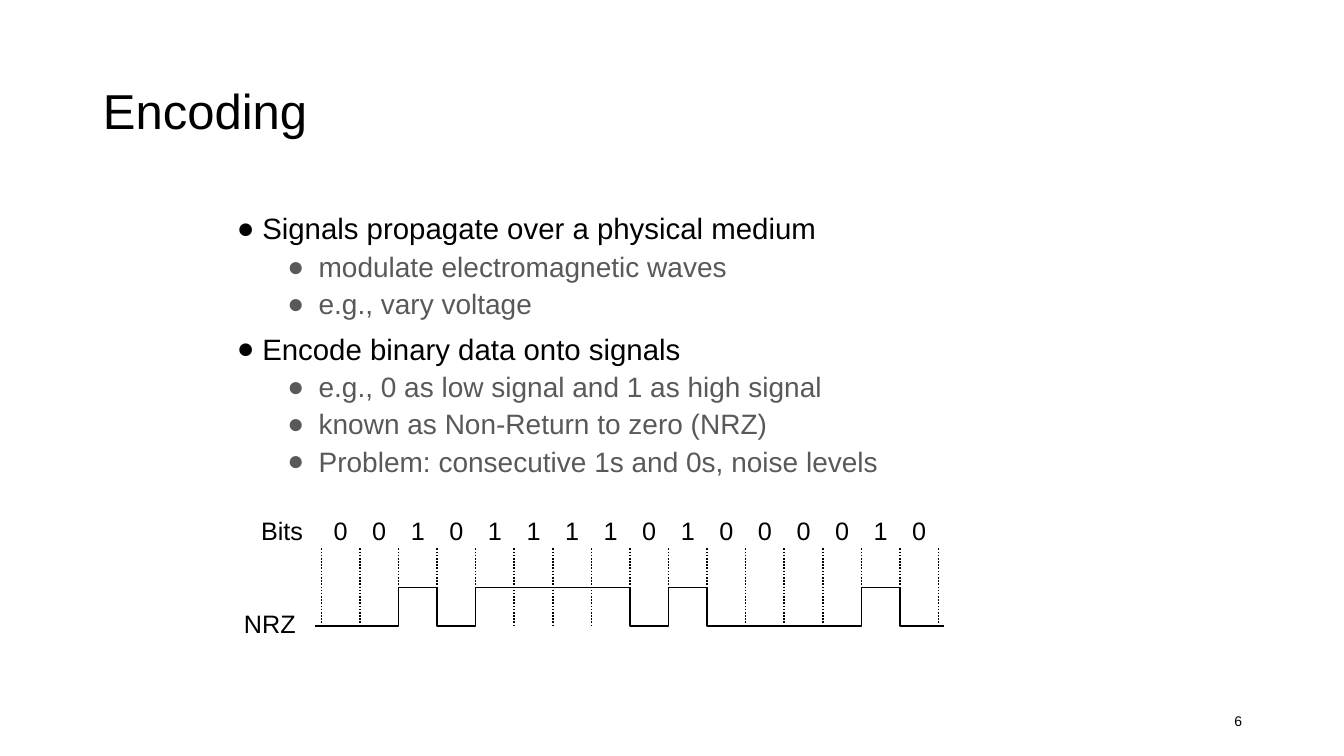
"""Build the slide on signal encoding with an NRZ waveform."""
from lxml.etree import SubElement
from pptx import Presentation
from pptx.dml.color import RGBColor
from pptx.enum.dml import MSO_LINE
from pptx.enum.shapes import MSO_CONNECTOR
from pptx.enum.text import MSO_ANCHOR, PP_ALIGN
from pptx.oxml.ns import qn
from pptx.util import Cm, Pt

BLACK, GREY = "000000", "595959"
BITS = "0010111101000010"
CELL = Cm(0.972)
GRID_LEFT, GRID_TOP = Cm(8.1), Cm(13.82)
HIGH, LOW = Cm(14.8), Cm(15.77)
OVERHANG = Cm(0.15)
POINTS = [
    (0, "Signals propagate over a physical medium"),
    (1, "modulate electromagnetic waves"),
    (1, "e.g., vary voltage"),
    (0, "Encode binary data onto signals"),
    (1, "e.g., 0 as low signal and 1 as high signal"),
    (1, "known as Non-Return to zero (NRZ)"),
    (1, "Problem: consecutive 1s and 0s, noise levels"),
]
LEVELS = [
    {"size": 21, "color": BLACK, "margin": 0.64, "hang": 0.64, "before": 10},
    {"size": 20, "color": GREY, "margin": 2.06, "hang": 0.79, "before": 5},
]


def rgb(color):
    return RGBColor.from_string(color)


def style(paragraph, size, color=BLACK, align=PP_ALIGN.LEFT):
    paragraph.alignment = align
    paragraph.font.name = "Arial"
    paragraph.font.size = Pt(size)
    paragraph.font.color.rgb = rgb(color)


def set_line(line):
    line.color.rgb = rgb(BLACK)
    line.width = Pt(1.13)


def add_title(slide, text):
    title = slide.shapes.title
    title.left, title.top, title.width, title.height = Cm(2.34), Cm(1.02), Cm(29.21), Cm(3.68)
    title.text_frame.text = text
    title.text_frame.vertical_anchor = MSO_ANCHOR.MIDDLE
    heading = title.text_frame.paragraphs[0]
    heading.line_spacing = 0.9
    style(heading, 35)


def add_points(slide, points):
    frame = slide.shapes.add_textbox(Cm(5.72), Cm(5.28), Cm(21.59), Cm(11.43)).text_frame
    frame.word_wrap = True
    for index, (depth, text) in enumerate(points):
        point = frame.add_paragraph() if index else frame.paragraphs[0]
        level = LEVELS[depth]
        point.text = text
        point.level = depth
        point.line_spacing = 0.9
        if index:
            point.space_before = Pt(level["before"])
        properties = point._p.get_or_add_pPr()
        properties.set("marL", str(Cm(level["margin"])))
        properties.set("indent", str(-Cm(level["hang"])))
        SubElement(properties, qn("a:buFont"), typeface="Arial")
        SubElement(properties, qn("a:buChar"), char="●")
        style(point, level["size"], level["color"])


def add_label(slide, text, left, top, width, height=Cm(0.76), size=18, align=PP_ALIGN.LEFT, inset=0):
    frame = slide.shapes.add_textbox(left, top, width, height).text_frame
    frame.margin_left = frame.margin_right = inset
    frame.margin_top = frame.margin_bottom = 0
    frame.vertical_anchor = MSO_ANCHOR.MIDDLE
    frame.word_wrap = True
    frame.text = text
    style(frame.paragraphs[0], size, align=align)


def add_bit_boundary(slide, x):
    boundary = slide.shapes.add_connector(MSO_CONNECTOR.STRAIGHT, x, GRID_TOP, x, LOW)
    set_line(boundary.line)
    boundary.line.dash_style = MSO_LINE.ROUND_DOT
    SubElement(boundary._element.spPr, qn("a:effectLst"))


def add_waveform(slide, bits):
    corners = []
    previous = bits[0]
    start_y = HIGH if previous == "1" else LOW
    for index, bit in enumerate(bits):
        if bit != previous:
            x = GRID_LEFT + index * CELL
            before, after = (LOW, HIGH) if bit == "1" else (HIGH, LOW)
            corners += [(x, before), (x, after)]
        previous = bit
    end_y = HIGH if previous == "1" else LOW
    corners.append((GRID_LEFT + len(bits) * CELL + OVERHANG, end_y))
    builder = slide.shapes.build_freeform(GRID_LEFT - OVERHANG, start_y)
    builder.add_line_segments(corners, close=False)
    waveform = builder.convert_to_shape()
    waveform.fill.background()
    waveform.shadow.inherit = False
    set_line(waveform.line)


def main():
    deck = Presentation()
    deck.slide_width, deck.slide_height = Cm(33.87), Cm(19.05)
    slide = deck.slides.add_slide(deck.slide_layouts[5])
    add_title(slide, "Encoding")
    add_points(slide, POINTS)
    add_label(slide, "Bits", Cm(6.58), Cm(12.98), Cm(1.2))
    add_label(slide, "NRZ", Cm(6.15), Cm(15.32), Cm(1.5))
    for index, bit in enumerate(BITS):
        add_label(slide, bit, GRID_LEFT + index * CELL, Cm(12.98), CELL, align=PP_ALIGN.CENTER)
    for index in range(len(BITS) + 1):
        add_bit_boundary(slide, GRID_LEFT + index * CELL)
    add_waveform(slide, BITS)
    add_label(slide, "6", Cm(23.93), Cm(17.65), Cm(7.62), Cm(1.02), 10, PP_ALIGN.RIGHT, Cm(0.25))
    deck.save("out.pptx")


if __name__ == "__main__":
    main()
